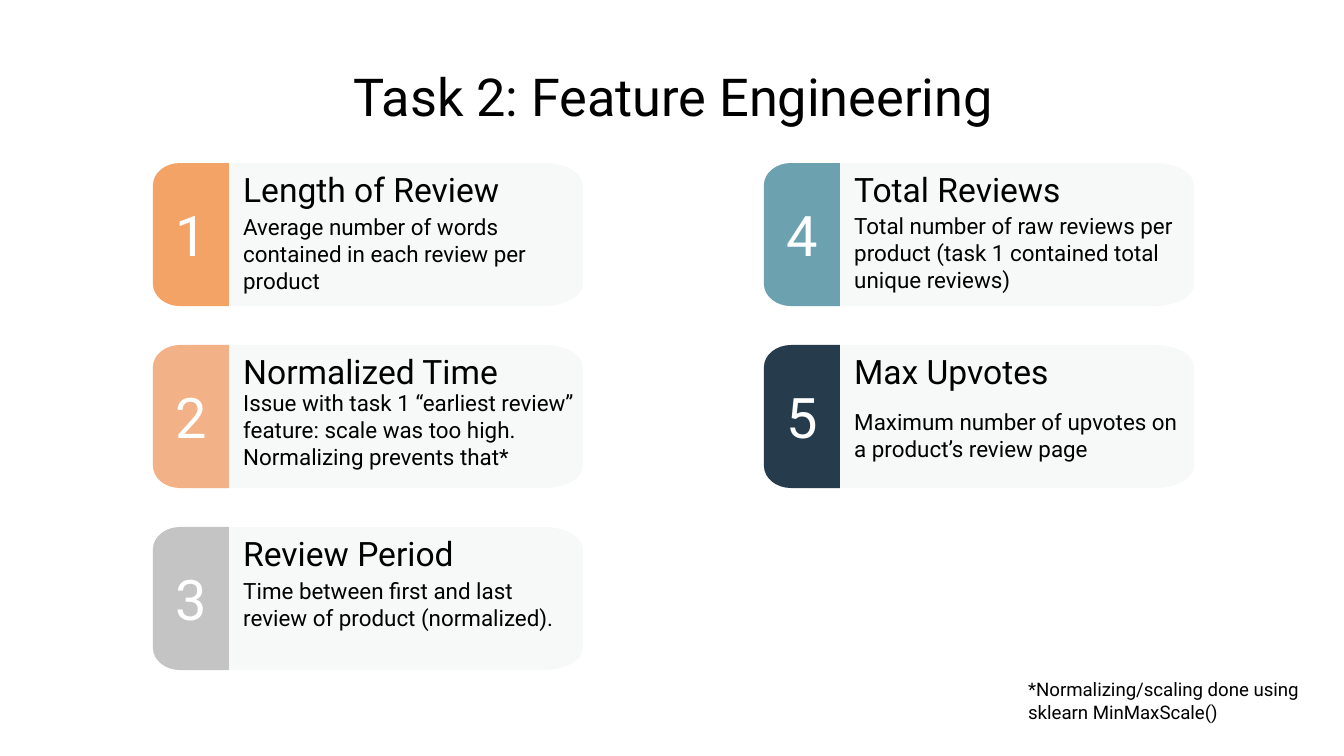
from lxml import etree
from pptx import Presentation
from pptx import util as u
from pptx.dml.color import RGBColor
from pptx.enum import text
from pptx.oxml.ns import qn

PX = 914400 / 134.4
BLACK = RGBColor(0x00, 0x00, 0x00)
WHITE = RGBColor(0xFF, 0xFF, 0xFF)
PANEL = RGBColor(0xF7, 0xF9, 0xF9)
ORANGE = RGBColor(0xF2, 0xA3, 0x65)
PEACH = RGBColor(0xF2, 0xB1, 0x86)
GREY = RGBColor(0xC4, 0xC4, 0xC4)
TEAL = RGBColor(0x6C, 0xA1, 0xB0)
NAVY = RGBColor(0x26, 0x3C, 0x4C)

prs = Presentation()
prs.slide_width, prs.slide_height = int(1344 * PX), int(756 * PX)
s = prs.slides.add_slide(prs.slide_layouts[6])


def write(sp, words, size, color=BLACK, align=text.PP_ALIGN.LEFT, lift=0):
    """Middle-anchored text; lift raises it by enlarging the bottom inset."""
    tf = sp.text_frame
    tf.word_wrap = True
    tf.vertical_anchor = text.MSO_ANCHOR.MIDDLE
    tf.margin_left = tf.margin_right = tf.margin_top = u.Inches(0.1)
    tf.margin_bottom = u.Inches(0.1) + int(2 * lift * PX)
    tf.text = words
    p = tf.paragraphs[0]
    p.alignment = align
    r = p.runs[0]
    r.font.name, r.font.size, r.font.color.rgb = "Roboto", u.Pt(size), color


def rounded(x, y, w, h, rx, fill, both_sides):
    """Box with elliptical corners on the left, or on both sides."""
    ry, right, bottom = 22, x + w, y + h
    points = [(x + rx, y), (x, y + ry), (x, bottom - ry), (x + rx, bottom)]
    if both_sides:
        points += [(right - rx, bottom), (right, bottom - ry), (right, y + ry), (right - rx, y)]
    else:
        points += [(right, bottom), (right, y)]
    points = [(round(px * PX), round(py * PX)) for px, py in points]
    fb = s.shapes.build_freeform(*points[0])
    fb.add_line_segments(points[1:], close=True)
    sp = fb.convert_to_shape()
    sp.shadow.inherit = False
    sp.fill.solid()
    sp.fill.fore_color.rgb = fill
    sp.line.fill.background()

    # Bend the corner segments into Bezier curves
    pts = list(sp._element.iter(qn("a:pt")))
    ends = [(int(pt.get("x")), int(pt.get("y"))) for pt in pts]
    for i in range(0, 8 if both_sides else 4, 2):
        a, b = ends[i], ends[i + 1]
        corner = (b[0], a[1]) if i % 4 == 0 else (a[0], b[1])
        line = pts[i + 1].getparent()
        curve = etree.Element(qn("a:cubicBezTo"))
        for end, pull in ((a, 0.55), (b, 0.55), (b, 0)):
            cx, cy = (round(e + pull * (c - e)) for e, c in zip(end, corner))
            etree.SubElement(curve, qn("a:pt"), x=str(cx), y=str(cy))
        line.getparent().replace(line, curve)
    return sp


# Title
sp = s.shapes.add_textbox(*[int(v * PX) for v in (105, 60, 1136, 71)])
write(sp, "Task 2: Feature Engineering", 28, align=text.PP_ALIGN.CENTER)

# Feature cards: colour, heading, body, body offset, body width, lift
cards = [
    (ORANGE, "Length of Review",
     "Average number of words contained in each review per product", 47, 374, 0),
    (PEACH, "Normalized Time",
     "Issue with task 1 “earliest review” feature: scale was too high. "
     "Normalizing prevents that*", 54, 363, 13),
    (GREY, "Review Period",
     "Time between first and last review of product (normalized).", 47, 353, 13),
    (TEAL, "Total Reviews",
     "Total number of raw reviews per product (task 1 contained total unique reviews)",
     59, 353, 13),
    (NAVY, "Max Upvotes",
     "Maximum number of upvotes on a product’s review page", 47, 353, 0),
]
for i, (color, heading, body, offset, width, lift) in enumerate(cards):
    col, row = divmod(i, 3)
    x, y = 153 + 611 * col, 163 + 182 * row
    rounded(x, y, 430, 143, 39, PANEL, True)
    tab = rounded(x, y, 76, 143, 27, color, False)
    write(tab, str(i + 1), 30, WHITE, text.PP_ALIGN.CENTER)
    sp = s.shapes.add_textbox(*[int(v * PX) for v in (x + 77, y, 374, 53)])
    write(sp, heading, 18)
    sp = s.shapes.add_textbox(*[int(v * PX) for v in (x + 77, y + offset, width, 87)])
    write(sp, body, 12, lift=lift)

# Footnote
sp = s.shapes.add_textbox(*[int(v * PX) for v in (1015, 670, 329, 87)])
write(sp, "*Normalizing/scaling done using sklearn MinMaxScale()", 10, lift=13)

prs.save("out.pptx")
